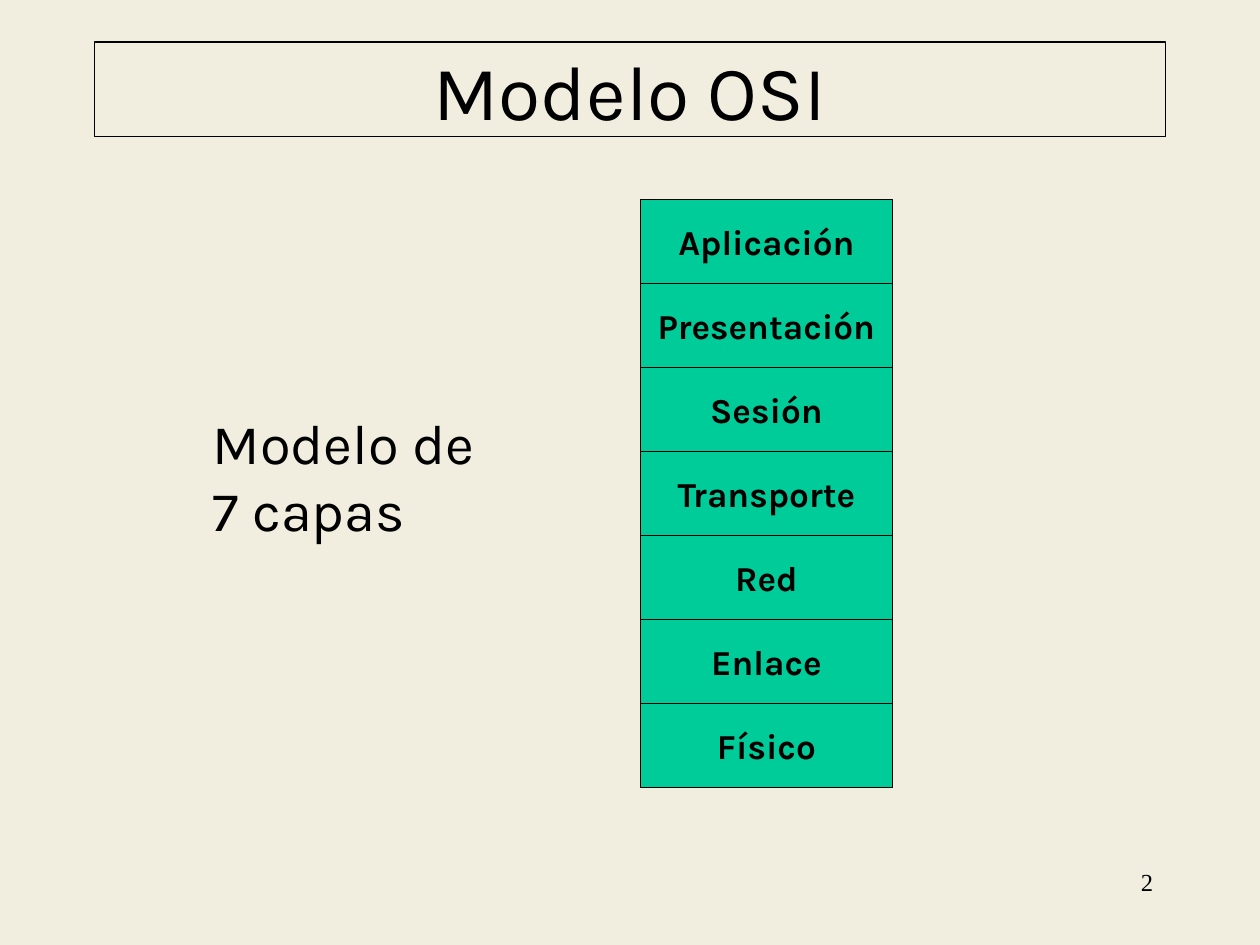
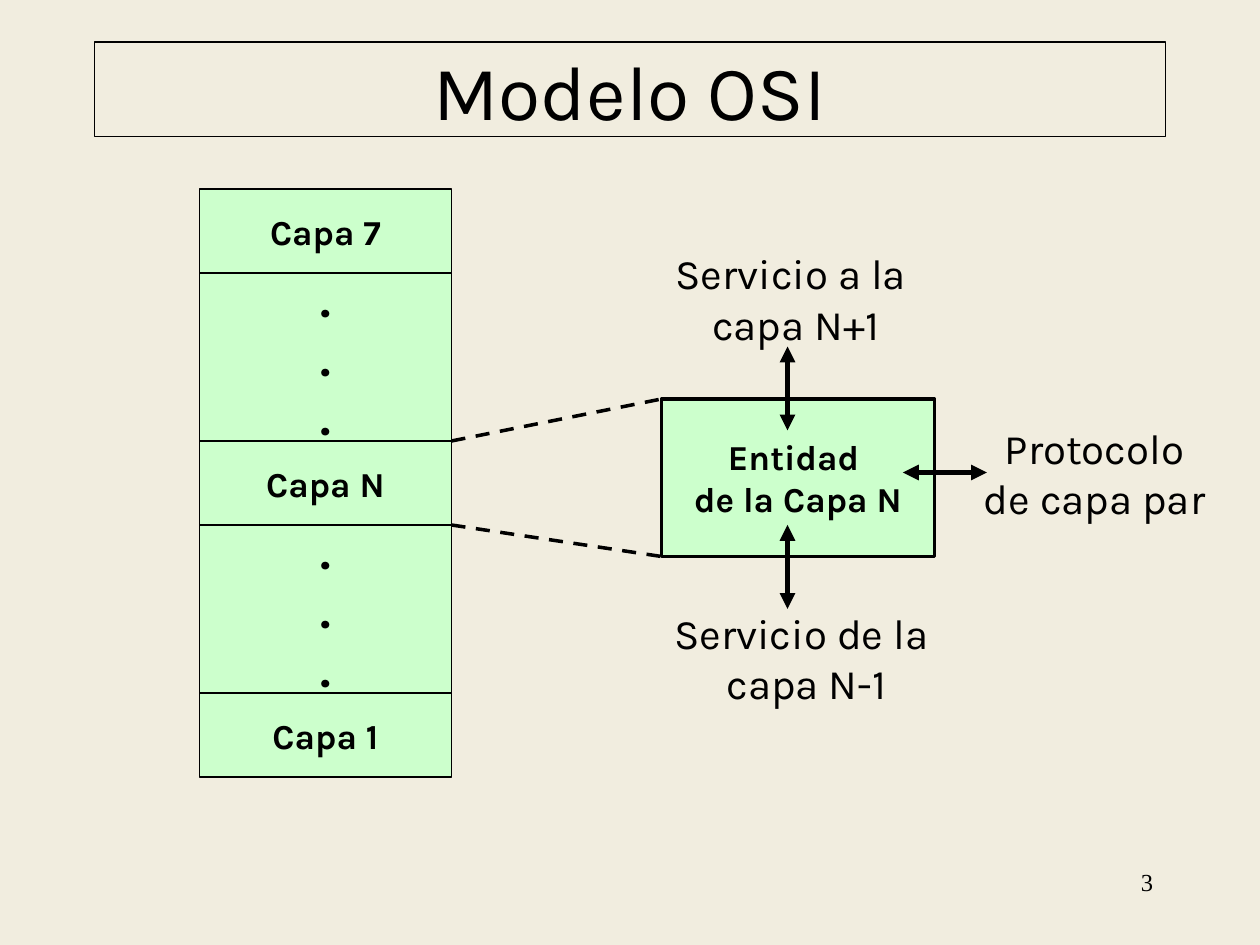
"""Builds two slides about the layers of the OSI model."""
from lxml import etree
from pptx import Presentation
from pptx.dml.color import RGBColor
from pptx.enum import dml, shapes, text
from pptx.oxml import ns
from pptx.util import Pt

HUES = {"paper": "F1EDDF", "ink": "000000", "teal": "00CC99", "mint": "CCFFCC"}
SANS, SERIF = "Karla", "Times New Roman"
MID, LEFT, RIGHT = text.PP_ALIGN.CENTER, text.PP_ALIGN.LEFT, text.PP_ALIGN.RIGHT
ROW = 48
LAYERS = ["Aplicación", "Presentación", "Sesión", "Transporte", "Red", "Enlace", "Físico"]
DOTS = [".", ".", "."]


def hue(name):
    """Return a named colour."""
    return RGBColor.from_string(HUES[name])


def pts(*nums):
    """Turn numbers into point lengths."""
    return [Pt(n) for n in nums]


def write(frame, lines, size, align=MID, bold=False, face=SANS):
    """Fill a text frame, one paragraph a line."""
    frame.text = "\n".join(lines)
    for para in frame.paragraphs:
        para.alignment = align
        font = para.font
        font.size, font.bold, font.name = Pt(size), bold, face
        font.color.rgb = hue("ink")


def edge(line, width):
    """Give an outline or connector its ink and width."""
    line.color.rgb = hue("ink")
    line.width = Pt(width)


def block(slide, box, lines, fill, size=20, width=0.75):
    """Draw a filled rectangle with bold centred text."""
    rect = slide.shapes.add_shape(shapes.MSO_SHAPE.RECTANGLE, *pts(*box))
    rect.shadow.inherit = False
    rect.fill.solid()
    rect.fill.fore_color.rgb = hue(fill)
    edge(rect.line, width)
    frame = rect.text_frame
    frame.word_wrap = False
    frame.vertical_anchor = text.MSO_ANCHOR.MIDDLE
    write(frame, lines, size, bold=True)


def label(slide, box, lines, size=24, align=MID):
    """Place free text that fits its box."""
    frame = slide.shapes.add_textbox(*pts(*box)).text_frame
    frame.word_wrap = False
    frame.auto_size = text.MSO_AUTO_SIZE.SHAPE_TO_FIT_TEXT
    write(frame, lines, size, align)


def link(slide, start, end, width):
    """Draw a straight line without a shadow."""
    line = slide.shapes.add_connector(shapes.MSO_CONNECTOR.STRAIGHT, *pts(*start, *end))
    edge(line.line, width)
    etree.SubElement(line._element.spPr, ns.qn("a:effectLst"))
    return line


def arrow(slide, start, end):
    """Draw a line with a head at both ends."""
    ln = link(slide, start, end, 3).line._get_or_add_ln()
    for tag in ("a:headEnd", "a:tailEnd"):
        etree.SubElement(ln, ns.qn(tag), type="triangle")


def stack(slide, box, rows, fill):
    """Pile up rows of (lines, units, size) from the top of the box."""
    left, top, width = box
    for lines, units, size in rows:
        high = units * ROW
        block(slide, (left, top, width, high), lines, fill, size)
        top += high


def zoom(slide, box, right, top):
    """Join a layer's right corners to the left corners of the box."""
    x, y, _, high = box
    for start, end in ((top, y), (top + ROW, y + high)):
        line = link(slide, (right, start), (x, end), 2)
        line.line.dash_style = dml.MSO_LINE.DASH


def entity(slide, box):
    """Draw the layer entity with its services and peer protocol."""
    x, y, wide, high = box
    block(slide, box, ["Entidad ", "de la Capa N"], "mint", width=2)
    label(slide, (x, y - 90, 153.4, 65), ["Servicio a la ", "capa N+1"])
    label(slide, (x - 1.5, y + 115.5, 168.5, 65), ["Servicio de la ", "capa N-1"])
    label(slide, (x + 174, y + 9.6, 152.6, 65), ["Protocolo ", "de capa par "])
    mid, side = x + 72, x + wide - 18
    for start in (y - 30, y + high - 18):
        arrow(slide, (mid, start), (mid, start + ROW))
    arrow(slide, (side, y + 42), (side + ROW, y + 42))


def page(deck, num):
    """Add a slide with its framed title and number."""
    slide = deck.slides.add_slide(deck.slide_layouts[5])
    title = slide.shapes.title
    title.left, title.top, title.width, title.height = pts(54, 24, 612, 54)
    edge(title.line, 0.75)
    frame = title.text_frame
    frame.auto_size = text.MSO_AUTO_SIZE.NONE
    frame.vertical_anchor = text.MSO_ANCHOR.MIDDLE
    write(frame, ["Modelo OSI"], 44)
    foot = slide.shapes.add_textbox(*pts(516, 492, 150, 36)).text_frame
    foot.word_wrap = True
    write(foot, [str(num)], 14, RIGHT, face=SERIF)
    return slide


def model(deck):
    """Build the slide of the seven layers."""
    slide = page(deck, 2)
    stack(slide, (366, 114, 144), [([name], 1, 20) for name in LAYERS], "teal")
    label(slide, (114.5, 229.7, 183, 84), ["Modelo de", "7 capas"], 32, LEFT)


def detail(deck):
    """Build the slide that enlarges one layer."""
    slide = page(deck, 3)
    left, top, wide = pile = (114, 108, 144)
    gap = (DOTS, 2, 28)
    rows = [(["Capa 7"], 1, 20), gap, (["Capa N"], 1, 20), gap, (["Capa 1"], 1, 20)]
    stack(slide, pile, rows, "mint")
    box = (378, 228, 156, 90)
    zoom(slide, box, left + wide, top + 3 * ROW)
    entity(slide, box)


def main():
    """Make and save the deck."""
    deck = Presentation()
    deck.slide_width, deck.slide_height = pts(720, 540)
    paper = deck.slide_master.background.fill
    paper.solid()
    paper.fore_color.rgb = hue("paper")
    model(deck)
    detail(deck)
    deck.save("out.pptx")


if __name__ == "__main__":
    main()
